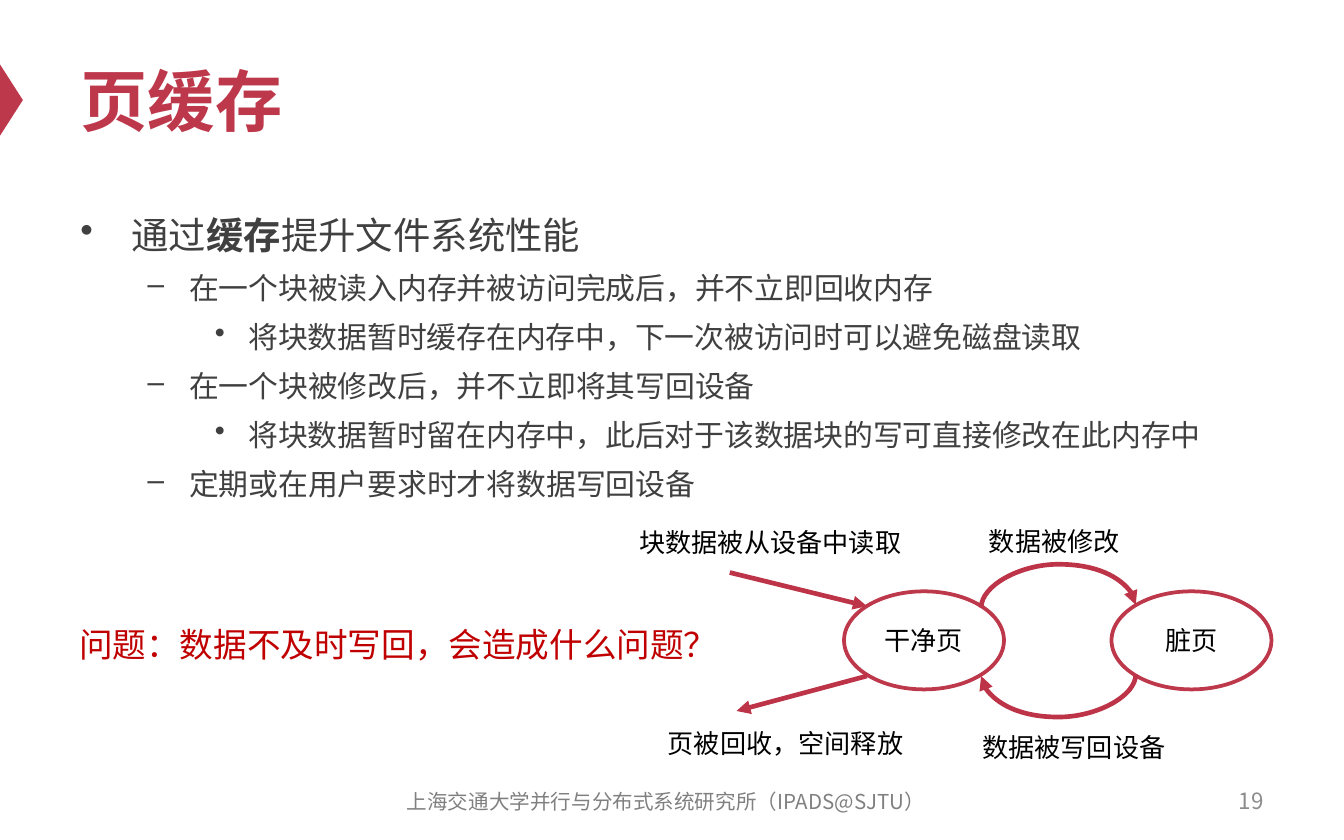
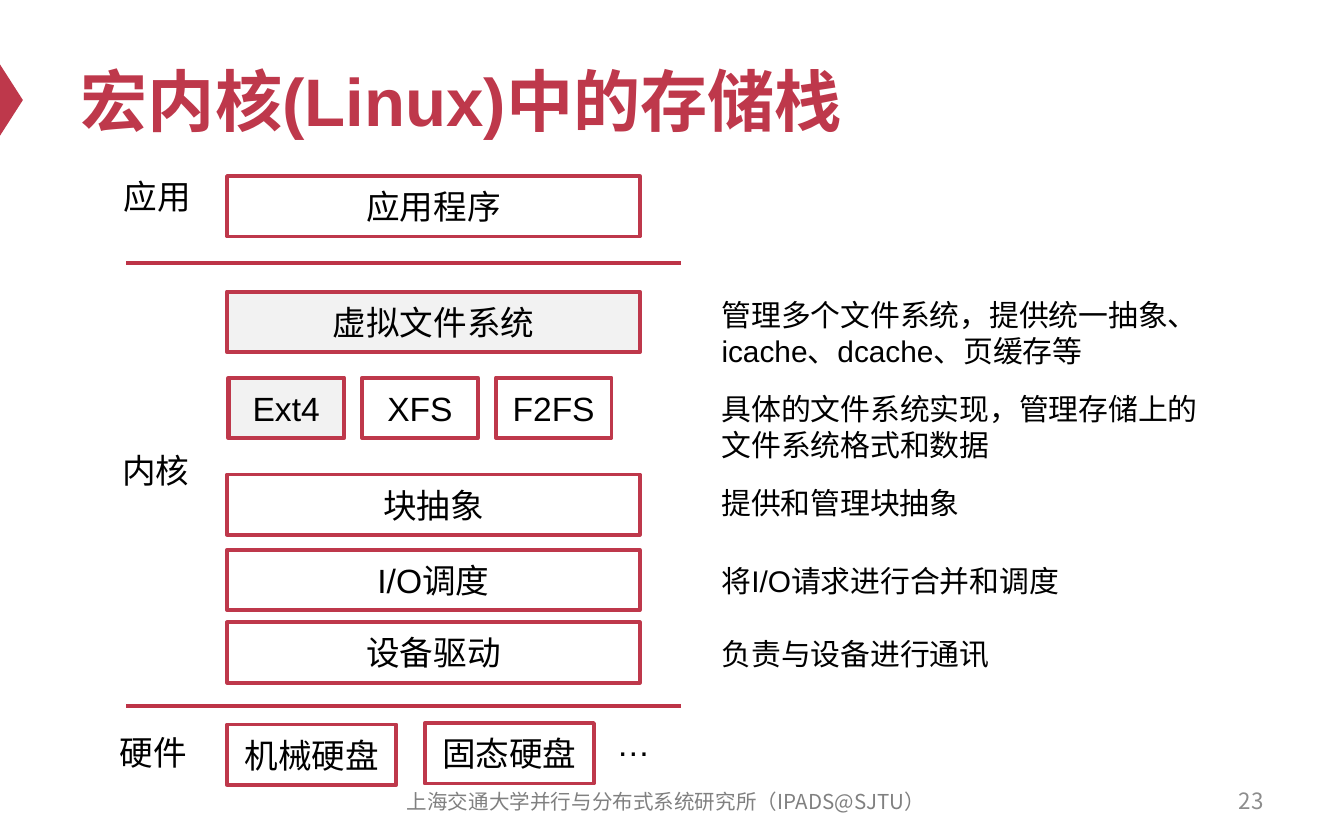
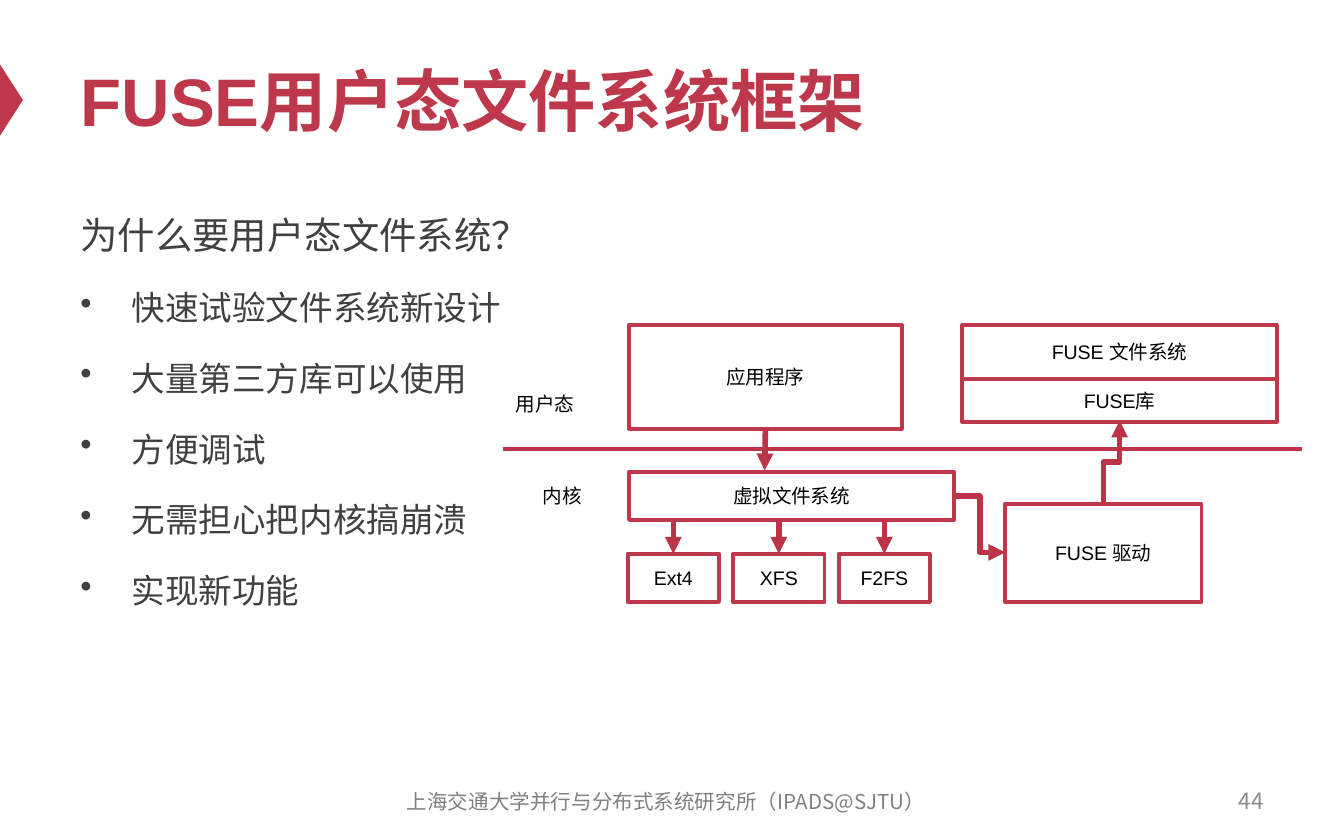
from dataclasses import dataclass

from lxml.etree import SubElement
from pptx import Presentation
from pptx.dml.color import RGBColor
from pptx.enum.shapes import MSO_CONNECTOR as Link, MSO_SHAPE as Shape
from pptx.enum.text import MSO_ANCHOR as Anchor, MSO_AUTO_SIZE as Fit, PP_ALIGN as Align
from pptx.oxml.ns import qn
from pptx.util import Inches, Pt

COLORS = {
    "red": "BE384B", "line": "BD3347", "alert": "C00000", "white": "FFFFFF",
    "shade": "F2F2F2", "black": "000000", "body": "404040",
    "footer": "808080", "number": "8C8C8C",
}
MAIN_FONT, FOOTER_FONT = "Arial", "Noto Sans CJK SC"
FOOTER = "上海交通大学并行与分布式系统研究所（IPADS@SJTU）"
# Bullet style: mark, left margin, hanging indent, space before in points
BULLETS = {
    "plain": (None, 0, 0, 12),
    "dot": ("•", 0.38, -0.38, 12),
    "dash": ("–", 0.81, -0.31, 3.2),
    "subdot": ("•", 1.25, -0.25, 3.2),
}


@dataclass
class Box:
    """A rectangle in inches; parts are placed from its top left corner."""
    left: float
    top: float
    width: float = 0
    height: float = 0

    def at(self, dx, dy, width=0, height=0):
        return Box(self.left + dx, self.top + dy, width, height)

    def point(self, dx, dy):
        return self.left + dx, self.top + dy

    def lengths(self):
        return [Inches(v) for v in (self.left, self.top, self.width, self.height)]


def color(name):
    return RGBColor.from_string(COLORS[name])


# ---- Text ----

def add_text(para, text, size=18, ink="black", font=MAIN_FONT, bold=False, align=Align.LEFT):
    """Write text into a paragraph; words between ** are bold."""
    para.alignment = align
    for index, words in enumerate(text.split("**")):
        span = para.add_run()
        span.text = words
        span.font.size = Pt(size)
        span.font.name = font
        span.font.bold = bold or index % 2 == 1
        span.font.color.rgb = color(ink)
        SubElement(span.font._element, qn("a:ea")).set("typeface", font)


def add_label(page, box, text, wrap=False, anchor=Anchor.TOP, **style):
    frame = page.shapes.add_textbox(*box.lengths()).text_frame
    frame.word_wrap = wrap
    frame.vertical_anchor = anchor
    add_text(frame.paragraphs[0], text, **style)


def add_body(page, box, items):
    """List text from items of (bullet style, size, text)."""
    frame = page.shapes.add_textbox(*box.lengths()).text_frame
    frame.word_wrap = True
    for index, (bullet, size, text) in enumerate(items):
        para = frame.add_paragraph() if index else frame.paragraphs[0]
        mark, margin, indent, before = BULLETS[bullet]
        props = para._p.get_or_add_pPr()
        props.set("marL", str(Inches(margin)))
        props.set("indent", str(Inches(indent)))
        if mark:
            SubElement(props, qn("a:buChar")).set("char", mark)
        para.line_spacing = 1.2
        if index:
            para.space_before = Pt(before)
        add_text(para, text, size=size, ink="body")


# ---- Shapes and lines ----

def add_node(page, box, text, kind=Shape.RECTANGLE, size=18, shaded=False):
    node = page.shapes.add_shape(kind, *box.lengths())
    node.shadow.inherit = False
    node.fill.solid()
    node.fill.fore_color.rgb = color("shade" if shaded else "white")
    node.line.color.rgb = color("red")
    node.line.width = Pt(2.25 if shaded else 2)
    frame = node.text_frame
    frame.word_wrap = True
    frame.vertical_anchor = Anchor.MIDDLE
    add_text(frame.paragraphs[0], text, size=size, align=Align.CENTER)
    return node


def add_line(page, start, end, width=2.25, arrow=True, kind=Link.STRAIGHT):
    line = page.shapes.add_connector(kind, *[Inches(v) for v in (*start, *end)])
    line.line.color.rgb = color("line")
    line.line.width = Pt(width)
    if arrow:
        SubElement(line.line._get_or_add_ln(), qn("a:tailEnd")).set("type", "triangle")
    SubElement(line._element.spPr, qn("a:effectLst"))
    return line


def add_bend(page, start, end, turn, kind=Link.ELBOW, width=3, upright=False):
    """Connector that turns at the coordinate turn; upright ones leave vertically."""
    dx, dy = end[0] - start[0], end[1] - start[1]
    middle_x, middle_y = (start[0] + end[0]) / 2, (start[1] + end[1]) / 2
    wide, high = (abs(dy), abs(dx)) if upright else (abs(dx), abs(dy))
    left, top = middle_x - wide / 2, middle_y - high / 2
    line = add_line(page, (left, top), (left + wide, top + high), width, kind=kind)
    frame = line._element.spPr.find(qn("a:xfrm"))
    flip_h, flip_v = (dy < 0, dx > 0) if upright else (dx < 0, dy < 0)
    frame.set("flipH", str(int(flip_h)))
    frame.set("flipV", str(int(flip_v)))
    if upright:
        frame.set("rot", "5400000")
    ratio = (turn - start[1]) / dy if upright else (turn - start[0]) / dx
    geometry = line._element.spPr.find(qn("a:prstGeom"))
    values = geometry.find(qn("a:avLst"))
    if values is None:
        values = SubElement(geometry, qn("a:avLst"))
    guide = SubElement(values, qn("a:gd"))
    guide.set("name", "adj1")
    guide.set("fmla", f"val {round(ratio * 100000)}")


# ---- Shared frame of every slide ----

def add_page(deck, title, number):
    page = deck.slides.add_slide(deck.slide_layouts[5])
    # Red marker at the left edge
    marker = page.shapes.add_shape(Shape.ISOSCELES_TRIANGLE, *Box(-0.18, 0.66, 0.53, 0.17).lengths())
    marker.rotation = 90
    marker.shadow.inherit = False
    marker.fill.solid()
    marker.fill.fore_color.rgb = color("red")
    marker.line.fill.background()
    # Title
    heading = page.shapes.title
    heading.left, heading.top, heading.width, heading.height = Box(0.5, 0.25, 9, 0.98).lengths()
    frame = heading.text_frame
    frame.auto_size = Fit.NONE
    frame.vertical_anchor = Anchor.MIDDLE
    add_text(frame.paragraphs[0], title, size=36, ink="red", bold=True)
    # Footer and page number
    add_label(page, Box(2.79, 5.8, 4.33, 0.33), FOOTER, wrap=True, anchor=Anchor.MIDDLE,
              size=11, ink="footer", font=FOOTER_FONT, align=Align.CENTER)
    add_label(page, Box(7.17, 5.79, 2.33, 0.33), str(number), wrap=True, anchor=Anchor.MIDDLE,
              size=12, ink="number", font=FOOTER_FONT, align=Align.RIGHT)
    return page


# ---- Page cache ----

def add_page_states(page, box):
    """Clean and dirty pages with the moves between them."""
    for dx, name in ((1.62, "干净页"), (3.61, "脏页")):
        add_node(page, box.at(dx, 0.54, 1.19, 0.73), name, Shape.OVAL, size=14)
    # Reading in and releasing
    add_line(page, box.point(0.77, 0.4), box.point(1.79, 0.65), 2.5)
    add_line(page, box.point(1.79, 1.17), box.point(0.82, 1.43), 2.5)
    # Modifying and writing back
    for start, end, turn in (((2.64, 0.66), (3.79, 0.64), 0.34),
                             ((3.79, 1.16), (2.64, 1.17), 1.48)):
        add_bend(page, box.point(*start), box.point(*end), box.top + turn,
                 Link.CURVE, 2.5, upright=True)
    for dx, dy, width, text in (
        (0, 0.01, 2.17, "块数据被从设备中读取"),
        (2.6, 0, 1.18, "数据被修改"),
        (2.55, 1.53, 1.58, "数据被写回设备"),
        (0.21, 1.5, 1.97, "页被回收，空间释放"),
    ):
        add_label(page, box.at(dx, dy, width, 0.34), text, size=14)


def build_page_cache(deck):
    page = add_page(deck, "页缓存", 19)
    add_body(page, Box(0.5, 1.46, 9, 4.12), [
        ("dot", 20, "通过**缓存**提升文件系统性能"),
        ("dash", 16, "在一个块被读入内存并被访问完成后，并不立即回收内存"),
        ("subdot", 16, "将块数据暂时缓存在内存中，下一次被访问时可以避免磁盘读取"),
        ("dash", 16, "在一个块被修改后，并不立即将其写回设备"),
        ("subdot", 16, "将块数据暂时留在内存中，此后对于该数据块的写可直接修改在此内存中"),
        ("dash", 16, "定期或在用户要求时才将数据写回设备"),
    ])
    add_page_states(page, Box(4.66, 3.86))
    add_label(page, Box(0.49, 4.59, 5, 0.4), "问题：数据不及时写回，会造成什么问题？", ink="alert")


# ---- Storage stack ----

def add_layers(page, box):
    """Layers from application to hardware, with their level names."""
    for dy, text, shaded in (
        (0.05, "应用程序", False), (0.91, "虚拟文件系统", True), (2.27, "块抽象", False),
        (2.83, "I/O调度", False), (3.37, "设备驱动", False),
    ):
        add_node(page, box.at(0.9, dy, 3.07, 0.45), text, shaded=shaded)
    for index, name in enumerate(("Ext4", "XFS", "F2FS")):
        add_node(page, box.at(0.91 + index * 0.995, 1.55, 0.86, 0.45), name, shaded=index == 0)
    for dx, dy, name in ((0.9, 4.13, "机械硬盘"), (2.37, 4.12, "固态硬盘")):
        add_node(page, box.at(dx, dy, 1.26, 0.45), name)
    add_label(page, box.at(3.7, 4.07, 0.47, 0.4), "…", wrap=True)
    # Borders between the levels
    for dy in (0.7, 3.99):
        add_line(page, box.point(0.15, dy), box.point(4.28, dy), arrow=False)
    for dx, dy, name in ((0.03, 0, "应用"), (0.02, 2.04, "内核"), (0, 4.14, "硬件")):
        add_label(page, box.at(dx, dy, 0.71, 0.4), name)


def add_layer_notes(page, box):
    for dy, width, height, wrap, text in (
        (0, 3.91, 0.64, True, "管理多个文件系统，提供统一抽象、icache、dcache、页缓存等"),
        (0.7, 3.91, 0.64, True, "具体的文件系统实现，管理存储上的文件系统格式和数据"),
        (1.4, 2, 0.37, False, "提供和管理块抽象"),
        (1.98, 2.75, 0.37, True, "将I/O请求进行合并和调度"),
        (2.52, 2.22, 0.37, False, "负责与设备进行通讯"),
    ):
        add_label(page, box.at(0, dy, width, height), text, wrap=wrap, size=16)


def build_storage_stack(deck):
    page = add_page(deck, "宏内核(Linux)中的存储栈", 23)
    add_layers(page, Box(0.79, 1.26))
    add_layer_notes(page, Box(5.27, 2.16))


# ---- FUSE ----

def add_fuse_diagram(page, box):
    """User and kernel halves with the path of a request."""
    def node(dx, dy, width, height, text):
        return add_node(page, box.at(dx, dy, width, height), text, size=10.5)

    application = node(0.94, 0, 2.03, 0.77, "应用程序")
    add_line(page, box.point(0, 0.92), box.point(5.95, 0.92), arrow=False)
    node(0.94, 1.09, 2.42, 0.36, "虚拟文件系统")
    node(3.74, 1.33, 1.46, 0.73, "FUSE 驱动")
    node(3.42, 0.4, 2.34, 0.32, "FUSE库")
    node(3.42, 0, 2.34, 0.4, "FUSE 文件系统")
    for dx, dy, width, text in ((0, 0.45, 0.78, "用户态"), (0.2, 1.13, 0.6, "内核")):
        add_label(page, box.at(dx, dy, width, 0.34), text, size=10.5)
    # Request into the kernel and on to each file system
    request = add_line(page, box.point(1.95, 0.77), box.point(1.95, 1.08), 3)
    request.begin_connect(application, 2)
    for index, name in enumerate(("Ext4", "XFS", "F2FS")):
        dx = 0.93 + index * 0.785
        system = node(dx, 1.7, 0.68, 0.36, name)
        call = add_line(page, box.point(dx + 0.34, 1.45), box.point(dx + 0.34, 1.7), 3)
        call.end_connect(system, 0)
    # Request through the driver back to user space
    add_bend(page, box.point(3.36, 1.27), box.point(3.74, 1.69), box.left + 3.55)
    add_bend(page, box.point(4.47, 1.33), box.point(4.59, 0.71), box.top + 1.02, upright=True)


def build_fuse(deck):
    page = add_page(deck, "FUSE用户态文件系统框架", 44)
    add_fuse_diagram(page, Box(3.74, 2.42))
    reasons = ("快速试验文件系统新设计", "大量第三方库可以使用", "方便调试",
               "无需担心把内核搞崩溃", "实现新功能")
    add_body(page, Box(0.5, 1.46, 4.5, 4.12),
             [("plain", 20, "为什么要用户态文件系统？")] + [("dot", 18, text) for text in reasons])


def main():
    deck = Presentation()
    deck.slide_width, deck.slide_height = Inches(10), Inches(6.25)
    build_page_cache(deck)
    build_storage_stack(deck)
    build_fuse(deck)
    deck.save("out.pptx")


if __name__ == "__main__":
    main()
